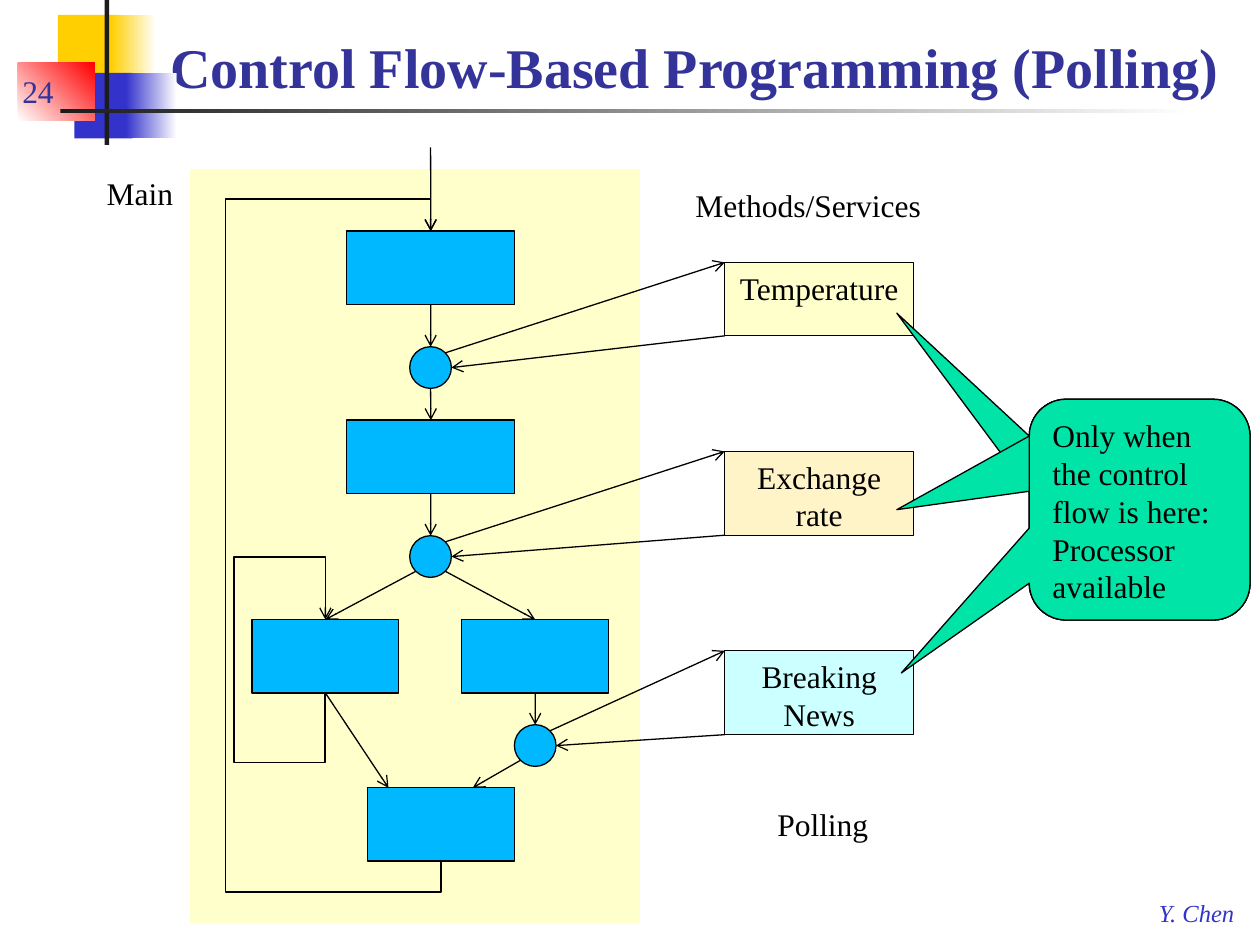
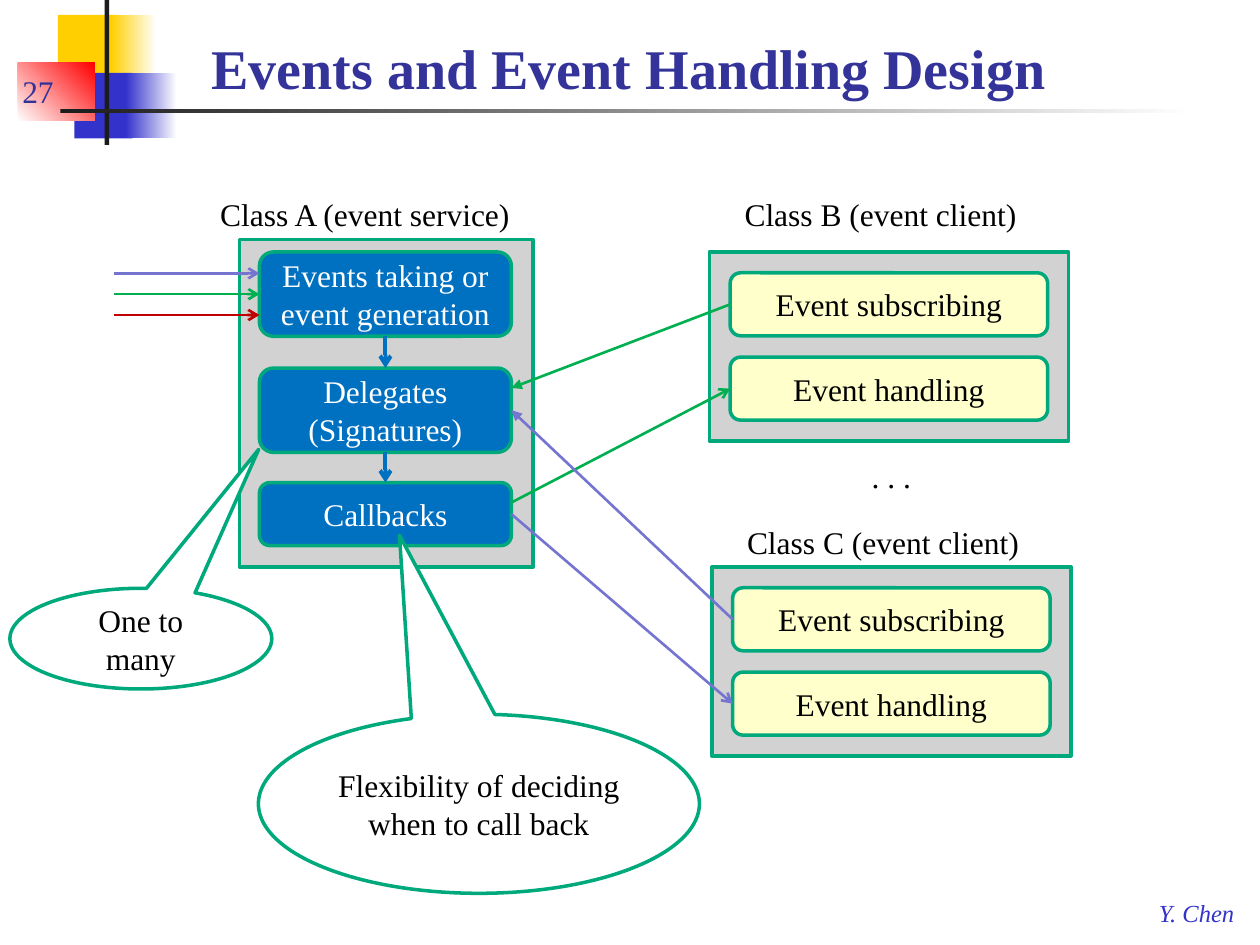
from dataclasses import dataclass
from math import sqrt

from lxml import etree
from pptx import Presentation
from pptx.dml.color import RGBColor
from pptx.enum.shapes import MSO_CONNECTOR, MSO_SHAPE
from pptx.enum.text import MSO_ANCHOR, MSO_AUTO_SIZE, PP_ALIGN
from pptx.oxml.ns import qn
from pptx.util import Cm, Pt

RECT, ROUND, OVAL = MSO_SHAPE.RECTANGLE, MSO_SHAPE.ROUNDED_RECTANGLE, MSO_SHAPE.OVAL
ROUND_CALLOUT = MSO_SHAPE.ROUNDED_RECTANGULAR_CALLOUT
OVAL_CALLOUT = MSO_SHAPE.OVAL_CALLOUT
STRAIGHT = MSO_CONNECTOR.STRAIGHT
LEFT, CENTER = PP_ALIGN.LEFT, PP_ALIGN.CENTER
TOP, MIDDLE, BOTTOM = MSO_ANCHOR.TOP, MSO_ANCHOR.MIDDLE, MSO_ANCHOR.BOTTOM
NO_FIT = MSO_AUTO_SIZE.NONE
SITE_TOP, SITE_LEFT, SITE_BOTTOM, SITE_RIGHT = range(4)


@dataclass(frozen=True)
class Theme:
    font: str = "Times New Roman"
    title_size: int = 32
    body_size: int = 18
    footer_size: int = 14
    thin: float = 0.75
    medium: float = 1.5
    outline: float = 2
    thick: float = 2.25
    black: str = "000000"
    white: str = "FFFFFF"
    heading: str = "333399"
    indigo: str = "3333CC"
    gold: str = "FFCF01"
    red: str = "FF0000"
    ink: str = "1C1C1C"
    cream: str = "FFFFCC"
    peach: str = "FFF4C8"
    aqua: str = "CCFFFF"
    sky: str = "00B8FF"
    mint: str = "00E4A8"
    gray: str = "D2D2D2"
    teal: str = "00A97C"
    blue: str = "0070C0"
    green: str = "00B050"
    violet: str = "7575D1"
    crimson: str = "C00000"


THEME = Theme()


def add_box(slide, preset, place, text="", fill=None, line=None, width=THEME.thin,
            color=THEME.black, size=THEME.body_size, align=CENTER, anchor=MIDDLE, wrap=True):
    """Add a preset shape, or a text box when preset is None; place is in centimetres."""
    lengths = [Cm(value) for value in place]
    if preset is None:
        box = slide.shapes.add_textbox(*lengths)
    else:
        box = slide.shapes.add_shape(preset, *lengths)
        box.shadow.inherit = False
        if fill:
            box.fill.solid()
            box.fill.fore_color.rgb = RGBColor.from_string(fill)
        else:
            box.fill.background()
        if line:
            box.line.color.rgb = RGBColor.from_string(line)
            box.line.width = Pt(width)
        else:
            box.line.fill.background()
    frame = box.text_frame
    frame.word_wrap = wrap
    frame.vertical_anchor = anchor
    if text:
        frame.text = text
    for para in frame.paragraphs:
        para.alignment = align
        for span in para.runs:
            span.font.name = THEME.font
            span.font.size = Pt(size)
            span.font.color.rgb = RGBColor.from_string(color)
    return box


def add_arrow(slide, points, color=THEME.black, width=THEME.thin, head="arrow"):
    """Join points, each (x, y) in centimetres; a straight arrow also takes (shape, site)."""
    if len(points) == 2:
        begin, end = points
        arrow = slide.shapes.add_connector(STRAIGHT, 0, 0, 0, 0)
        if hasattr(begin[0], "shape_id"):
            arrow.begin_connect(*begin)
        else:
            arrow.begin_x, arrow.begin_y = Cm(begin[0]), Cm(begin[1])
        if hasattr(end[0], "shape_id"):
            arrow.end_connect(*end)
        else:
            arrow.end_x, arrow.end_y = Cm(end[0]), Cm(end[1])
    else:
        corners = [(Cm(x), Cm(y)) for x, y in points]
        builder = slide.shapes.build_freeform(*corners[0])
        builder.add_line_segments(corners[1:], close=False)
        arrow = builder.convert_to_shape()
        arrow.fill.background()
    arrow.line.color.rgb = RGBColor.from_string(color)
    arrow.line.width = Pt(width)
    properties = arrow.element.spPr
    etree.SubElement(properties.find(qn("a:ln")), qn("a:tailEnd"), type=head)
    etree.SubElement(properties, qn("a:effectLst"))


deck = Presentation()
deck.slide_width, deck.slide_height = Cm(25.4), Cm(19.05)

# Shared frame: corner blocks, rules, slide number, title and footer
decorations = [
    ((1.17, 0.3, 1.22, 1.32), THEME.gold, None, 0),
    ((2.24, 0.3, 0.91, 1.32), THEME.gold, THEME.white, 0),
    ((1.5, 1.47, 1.17, 1.32), THEME.indigo, None, 0),
    ((2.54, 1.47, 1.02, 1.32), THEME.indigo, THEME.white, 0),
    ((0.36, 1.27, 1.55, 1.17), THEME.white, THEME.red, 45),
    ((2.11, 0, 0.09, 2.92), THEME.ink, None, 0),
    ((1.22, 2.2, 22.86, 0.08), THEME.ink, THEME.white, 0),
]
headings = [
    ("24", "Control Flow-Based Programming (Polling)", (3.18, 0.56, 21.79, 1.57)),
    ("27", "Events and Event Handling Design", (4.01, 0.43, 21.16, 1.73)),
]
pages = []
for number, heading, place in headings:
    page = deck.slides.add_slide(deck.slide_layouts[5])
    pages.append(page)
    for block_place, start, end, angle in decorations:
        block = add_box(page, RECT, block_place, fill=start)
        if end:
            block.fill.gradient()
            block.fill.gradient_angle = angle
            for stop, stop_color in zip(block.fill.gradient_stops, (start, end)):
                stop.color.rgb = RGBColor.from_string(stop_color)
    title = page.shapes.title
    title.left, title.top, title.width, title.height = [Cm(value) for value in place]
    title.text_frame.text = heading
    title.text_frame.auto_size = NO_FIT
    title.text_frame.vertical_anchor = BOTTOM
    para = title.text_frame.paragraphs[0]
    para.alignment = LEFT
    font = para.runs[0].font
    font.name, font.size, font.bold = THEME.font, Pt(THEME.title_size), True
    font.color.rgb = RGBColor.from_string(THEME.heading)
    add_box(page, None, (0.2, 1.07, 3.02, 1.27), number, color=THEME.heading,
            align=LEFT, anchor=BOTTOM)
    footer = add_box(page, None, (23.11, 17.98, 2.08, 0.84), "Y. Chen", color=THEME.indigo,
                     size=THEME.footer_size, align=LEFT, anchor=TOP, wrap=False)
    footer.text_frame.paragraphs[0].runs[0].font.italic = True

polling, events = pages

# Polling: main program
add_box(polling, RECT, (3.81, 3.39, 9.1, 15.24), fill=THEME.cream, line=THEME.white)
step_places = [(6.99, 4.66, 3.39), (6.99, 8.47, 3.39), (5.08, 12.49, 2.96),
               (9.31, 12.49, 2.96), (7.41, 15.88, 2.96)]
first, second, left_branch, right_branch, last = [
    add_box(polling, RECT, (x, y, width, 1.48), fill=THEME.sky, line=THEME.black)
    for x, y, width in step_places]

# Polling: each call point goes to its service and comes back
radius = 0.42
diagonal = radius / sqrt(2)
service_left = 14.61
services = [
    ("Temperature", 5.29, 1.48, THEME.cream, (8.68, 7.41)),
    ("Exchange rate", 9.1, 1.69, THEME.peach, (8.68, 11.22)),
    ("Breaking News", 13.12, 1.69, THEME.aqua, (10.79, 15.03)),
]
call_points = []
for name, top, height, fill, (x, y) in services:
    add_box(polling, RECT, (service_left, top, 3.81, height), name, fill, THEME.black, anchor=TOP)
    call_points.append(add_box(polling, OVAL, (x - radius, y - radius, 2 * radius, 2 * radius),
                               fill=THEME.sky, line=THEME.black))
    add_arrow(polling, [(x + diagonal, y - diagonal), (service_left, top)])
    add_arrow(polling, [(service_left, top + height), (x + radius, y)])

(_, _, _, _, (x1, y1)), (_, _, _, _, (x2, y2)), (_, _, _, _, (x3, y3)) = services
flows = [
    [(x1, 2.97), (first, SITE_TOP)],
    [(first, SITE_BOTTOM), (call_points[0], SITE_TOP)],
    [(x1, y1 + radius), (second, SITE_TOP)],
    [(second, SITE_BOTTOM), (call_points[1], SITE_TOP)],
    [(x2 - diagonal, y2 + diagonal), (left_branch, SITE_TOP)],
    [(x2 + diagonal, y2 + diagonal), (right_branch, SITE_TOP)],
    [(right_branch, SITE_BOTTOM), (call_points[2], SITE_TOP)],
    [(left_branch, SITE_BOTTOM), (7.83, 15.88)],
    [(x3 - diagonal, y3 + diagonal), (9.53, 15.88)],
    [(8.89, 17.36), (8.89, 17.98), (4.55, 17.98), (4.55, 4.01), (x1, 4.01), (x1, 4.66)],
    [(6.55, 13.97), (6.55, 15.37), (4.72, 15.37), (4.72, 11.23), (6.56, 11.23), (6.56, 12.49)],
]
for points in flows:
    add_arrow(polling, points)

polling_labels = [("Main", (1.9, 3.39, 1.85, 1.02)),
                  ("Methods/Services", (13.77, 3.63, 5.11, 1.02)),
                  ("Polling", (15.42, 16.1, 2.36, 1.02))]
for text, place in polling_labels:
    add_box(polling, None, place, text, align=LEFT, anchor=TOP, wrap=False)

remark = "Only when the control flow is here: Processor available"
for text, tip_x, tip_y in [("", -1.1, -0.89), ("", -1.1, 0), (remark, -1.08, 0.74)]:
    callout = add_box(polling, ROUND_CALLOUT, (20.75, 8.05, 4.45, 4.45), text,
                      THEME.mint, THEME.black, align=LEFT, anchor=TOP)
    callout.adjustments[0], callout.adjustments[1] = tip_x, tip_y

# Events: service class
add_box(events, RECT, (4.83, 4.83, 5.92, 6.6), fill=THEME.gray, line=THEME.teal,
        width=THEME.outline)
service_parts = [("Events taking or\nevent generation", 5.08, 1.7),
                 ("Delegates\n(Signatures)", 7.42, 1.7),
                 ("Callbacks", 9.73, 1.27)]
taking, delegates, callbacks = [
    add_box(events, ROUND, (5.23, top, 5.08, height), text, THEME.blue, THEME.teal,
            THEME.outline, THEME.white)
    for text, top, height in service_parts]

# Events: client classes
clients = []
for x, y, label, label_y in [(14.3, 5.08, "Class B (event client)", 3.81),
                             (14.35, 11.43, "Class C (event client)", 10.41)]:
    add_box(events, RECT, (x, y, 7.24, 3.81), fill=THEME.gray, line=THEME.teal,
            width=THEME.outline)
    clients.append([
        add_box(events, ROUND, (x + 0.42, y + offset, 6.4, 1.27), text, THEME.cream,
                THEME.teal, THEME.outline)
        for text, offset in [("Event subscribing", 0.42), ("Event handling", 2.12)]])
    add_box(events, None, (x + 0.46, label_y, 6.58, 1.02), label,
            align=LEFT, anchor=TOP, wrap=False)
for text, place in [("Class A (event service)", (4.19, 3.81, 7.04, 1.02)),
                    (". . .", (17.32, 9.09, 1.32, 1.02))]:
    add_box(events, None, place, text, align=LEFT, anchor=TOP, wrap=False)

(subscribe_b, handle_b), (subscribe_c, handle_c) = clients
event_arrows = [
    ((2.29, 5.51), (5.23, 5.51), THEME.violet, THEME.medium, "arrow"),
    ((2.29, 5.93), (taking, SITE_LEFT), THEME.green, THEME.medium, "arrow"),
    ((2.29, 6.35), (5.23, 6.35), THEME.crimson, THEME.medium, "arrow"),
    ((taking, SITE_BOTTOM), (delegates, SITE_TOP), THEME.blue, THEME.thick, "arrow"),
    ((delegates, SITE_BOTTOM), (callbacks, SITE_TOP), THEME.blue, THEME.thick, "arrow"),
    ((10.31, 10.13), (handle_b, SITE_LEFT), THEME.green, THEME.medium, "arrow"),
    ((subscribe_b, SITE_LEFT), (10.31, 7.82), THEME.green, THEME.medium, "triangle"),
    ((callbacks, SITE_RIGHT), (handle_c, SITE_LEFT), THEME.violet, THEME.medium, "arrow"),
    ((subscribe_c, SITE_LEFT), (delegates, SITE_RIGHT), THEME.violet, THEME.medium, "triangle"),
]
for begin, end, color, width, head in event_arrows:
    add_arrow(events, [begin, end], color, width, head)

event_callouts = [
    ("Flexibility of deciding when to call back", (5.21, 14.4, 8.89, 3.61), -0.18, -1.5),
    ("One to many", (0.2, 11.86, 5.28, 2.03), 0.45, -1.88),
]
for text, place, tip_x, tip_y in event_callouts:
    callout = add_box(events, OVAL_CALLOUT, place, text, THEME.white, THEME.teal, THEME.outline)
    callout.adjustments[0], callout.adjustments[1] = tip_x, tip_y

deck.save("out.pptx")
